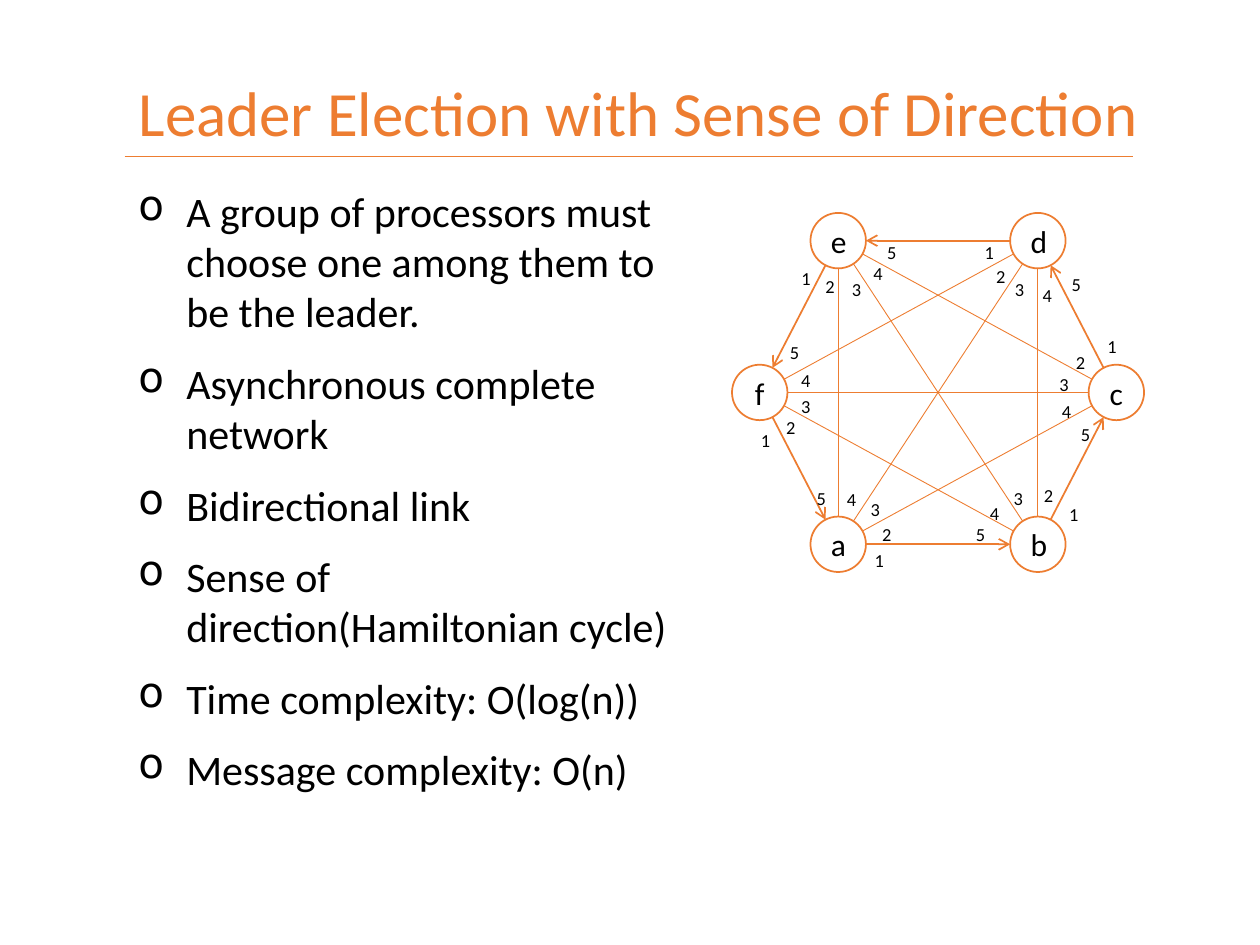
from collections import namedtuple
from itertools import combinations
from math import hypot

from lxml.etree import SubElement
from pptx import Presentation
from pptx.dml.color import RGBColor
from pptx.enum.shapes import MSO_CONNECTOR as Connector, MSO_SHAPE as Shape
from pptx.enum.text import MSO_ANCHOR as Anchor, MSO_AUTO_SIZE as AutoSize, PP_ALIGN as Align
from pptx.oxml.ns import qn
from pptx.util import Inches, Pt

Box = namedtuple("Box", "left top width height")
COLORS = {"accent": "ED7D31", "text": "000000", "node": "FFFFFF"}
FONT = "Calibri"

POINTS = [
    "A group of processors must choose one among them to be the leader.",
    "Asynchronous complete network",
    "Bidirectional link",
    "Sense of direction(Hamiltonian cycle)",
    "Time complexity: O(log(n))",
    "Message complexity: O(n)",
]

# Node centres as shares of the area spanned by the centres, in cycle order
NODES = {
    "a": (0.22, 1), "b": (0.78, 1), "c": (1, 0.5),
    "d": (0.78, 0), "e": (0.22, 0), "f": (0, 0.5),
}
NODE_SIZE = 0.44
LABEL_SIZE = (0.24, 0.29)

# Port labels 1 to 5 of each node: inches from the node centre to the label centre
PORTS = {
    "a": [(0.31, 0.13), (0.37, -0.07), (0.28, -0.27), (0.09, -0.35), (-0.15, -0.36)],
    "b": [(0.27, -0.23), (0.07, -0.38), (-0.17, -0.36), (-0.36, -0.24), (-0.47, -0.07)],
    "c": [(-0.05, -0.36), (-0.30, -0.23), (-0.43, -0.06), (-0.41, 0.16), (-0.26, 0.34)],
    "d": [(-0.40, 0.10), (-0.31, 0.29), (-0.16, 0.39), (0.06, 0.44), (0.29, 0.35)],
    "e": [(-0.27, 0.31), (-0.08, 0.37), (0.13, 0.39), (0.30, 0.27), (0.41, 0.10)],
    "f": [(0.03, 0.39), (0.23, 0.28), (0.35, 0.12), (0.35, -0.09), (0.26, -0.31)],
}


def color(name):
    return RGBColor.from_string(COLORS[name])


def in_inches(box):
    return [Inches(length) for length in box]


def centred_box(centre, width, height):
    return Box(centre[0] - width / 2, centre[1] - height / 2, width, height)


def set_font(para, size, name="text"):
    para.font.name = FONT
    para.font.size = Pt(size)
    para.font.color.rgb = color(name)


def add_line(page, start, end, weight, arrow=False):
    line = page.shapes.add_connector(Connector.STRAIGHT, *in_inches((*start, *end)))
    line.line.color.rgb = color("accent")
    line.line.width = Pt(weight)
    if arrow:
        SubElement(line.line._get_or_add_ln(), qn("a:tailEnd"), type="arrow")
    SubElement(line._element.spPr, qn("a:effectLst"))


def add_title(page, box, text):
    title = page.shapes.title
    title.left, title.top, title.width, title.height = in_inches(box)
    frame = title.text_frame
    frame.text = text
    frame.auto_size = AutoSize.NONE
    frame.vertical_anchor = Anchor.TOP
    para = frame.paragraphs[0]
    para.alignment = Align.LEFT
    para.line_spacing = 0.9
    set_font(para, 36, "accent")


def add_points(page, box, points):
    frame = page.shapes.add_textbox(*in_inches(box)).text_frame
    frame.word_wrap = True
    frame.auto_size = AutoSize.SHAPE_TO_FIT_TEXT
    for index, point in enumerate(points):
        para = frame.add_paragraph() if index else frame.paragraphs[0]
        para.text = point
        para.space_after = Pt(12)
        set_font(para, 24)
        # Hanging bullet
        props = para._p.get_or_add_pPr()
        props.set("marL", str(Inches(0.38)))
        props.set("indent", str(-Inches(0.38)))
        SubElement(props, qn("a:buChar"), char="o")


def add_node(page, centre, name):
    node = page.shapes.add_shape(
        Shape.OVAL, *in_inches(centred_box(centre, NODE_SIZE, NODE_SIZE)))
    node.shadow.inherit = False
    node.fill.solid()
    node.fill.fore_color.rgb = color("node")
    node.line.color.rgb = color("accent")
    node.line.width = Pt(1)
    frame = node.text_frame
    frame.text = name
    frame.vertical_anchor = Anchor.MIDDLE
    frame.paragraphs[0].alignment = Align.CENTER
    set_font(frame.paragraphs[0], 18)


def add_port(page, centre, number):
    label = page.shapes.add_textbox(*in_inches(centred_box(centre, *LABEL_SIZE)))
    frame = label.text_frame
    frame.text = str(number)
    frame.word_wrap = False
    frame.auto_size = AutoSize.SHAPE_TO_FIT_TEXT
    set_font(frame.paragraphs[0], 10.5)


def toward(start, end, distance):
    """The point that lies the given distance from start on the way to end."""
    across, down = end[0] - start[0], end[1] - start[1]
    share = distance / hypot(across, down)
    return start[0] + across * share, start[1] + down * share


def add_network(page, box):
    radius = NODE_SIZE / 2
    centres = {
        name: (box.left + radius + across * (box.width - NODE_SIZE),
               box.top + radius + down * (box.height - NODE_SIZE))
        for name, (across, down) in NODES.items()
    }
    names = list(centres)
    cycle = list(zip(names, names[1:] + names[:1]))

    # Links between nodes that are not neighbours
    for first, second in combinations(names, 2):
        if (first, second) not in cycle and (second, first) not in cycle:
            add_line(page, centres[first], centres[second], 0.5)

    # Directed cycle, from rim to rim
    for first, second in cycle:
        start, end = centres[first], centres[second]
        add_line(page, toward(start, end, radius), toward(end, start, radius), 1, arrow=True)

    for name, centre in centres.items():
        add_node(page, centre, name)

    # Port numbers
    for name, offsets in PORTS.items():
        for number, (across, down) in enumerate(offsets, 1):
            add_port(page, (centres[name][0] + across, centres[name][1] + down), number)


def main():
    deck = Presentation()
    deck.slide_width, deck.slide_height = Inches(10), Inches(7.5)
    page = deck.slides.add_slide(deck.slide_layouts.get_by_name("Title Only"))

    add_title(page, Box(1, 0.6, 8.57, 0.81), "Leader Election with Sense of Direction")
    add_line(page, (0.99, 1.24), (8.99, 1.24), 0.5)
    add_points(page, Box(1, 1.42, 4.71, 4.98), POINTS)
    add_network(page, Box(5.81, 1.69, 3.27, 2.85))

    deck.save("out.pptx")


if __name__ == "__main__":
    main()
